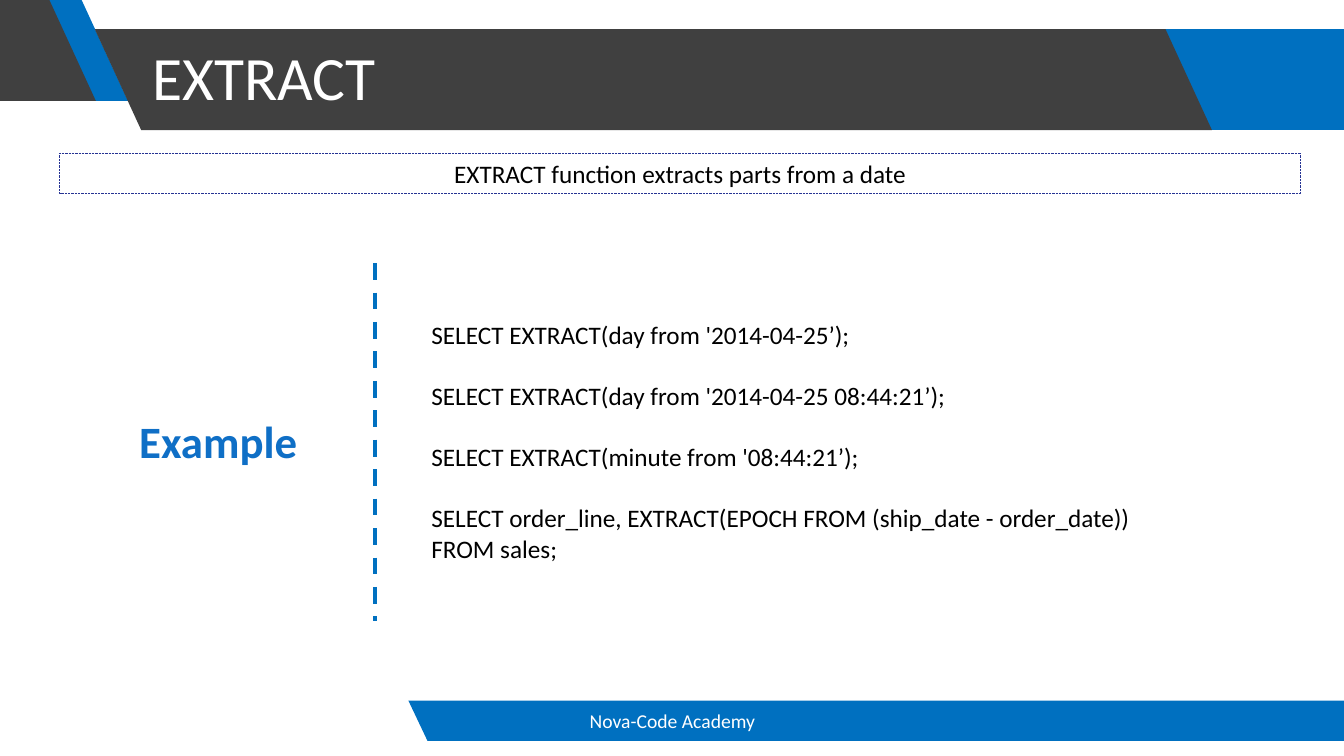
"""Build the EXTRACT function slide with its banner, definition and example queries."""
from dataclasses import dataclass

from lxml import etree
from pptx import Presentation
from pptx.dml.color import RGBColor
from pptx.enum.dml import MSO_LINE
from pptx.enum.shapes import MSO_CONNECTOR, MSO_SHAPE
from pptx.enum.text import MSO_ANCHOR, PP_ALIGN
from pptx.oxml.ns import qn
from pptx.util import Inches, Pt

LEFT, CENTER = PP_ALIGN.LEFT, PP_ALIGN.CENTER
TOP, MIDDLE = MSO_ANCHOR.TOP, MSO_ANCHOR.MIDDLE
RECTANGLE = MSO_SHAPE.RECTANGLE
STRAIGHT = MSO_CONNECTOR.STRAIGHT
DASH, DOTS = MSO_LINE.DASH, MSO_LINE.ROUND_DOT


@dataclass(frozen=True)
class Theme:
    font: str = "Calibri"
    blue: RGBColor = RGBColor(0x00, 0x70, 0xC0)
    dark: RGBColor = RGBColor(0x40, 0x40, 0x40)
    white: RGBColor = RGBColor(0xFF, 0xFF, 0xFF)
    black: RGBColor = RGBColor(0x00, 0x00, 0x00)
    navy: RGBColor = RGBColor(0x26, 0x33, 0x93)
    accent: RGBColor = RGBColor(0x0F, 0x6F, 0xC6)
    title: Pt = Pt(44)
    heading: Pt = Pt(32)
    body: Pt = Pt(18)
    footer: Pt = Pt(14)
    query_gap: Pt = Pt(22)


theme = Theme()
presentation = Presentation()
presentation.slide_width = Inches(13.33)
presentation.slide_height = Inches(7.5)
slide = presentation.slides.add_slide(presentation.slide_layouts[6])


def add_band(points, color):
    """Draw a filled polygon through points given in inches."""
    corners = [(Inches(x), Inches(y)) for x, y in points]
    builder = slide.shapes.build_freeform(*corners[0])
    builder.add_line_segments(corners[1:])
    shape = builder.convert_to_shape()
    shape.shadow.inherit = False
    shape.fill.solid()
    shape.fill.fore_color.rgb = color
    shape.line.fill.background()


def add_text(box, lines, size, color, alignment=LEFT, anchor=TOP, bold=False):
    """Write lines as paragraphs in one style and return the paragraphs."""
    frame = box.text_frame
    frame.word_wrap = True
    frame.vertical_anchor = anchor
    frame.text = "\n".join(lines)
    for paragraph in frame.paragraphs:
        paragraph.alignment = alignment
        paragraph.font.name = theme.font
        paragraph.font.size = size
        paragraph.font.bold = bold
        paragraph.font.color.rgb = color
    return frame.paragraphs


bands = [
    ([(10.68, 0.29), (13.33, 0.29), (13.33, 1.29), (10.68, 1.29)], theme.blue),
    ([(0.34, 0), (0.81, 0), (1.27, 1), (0.81, 1)], theme.blue),
    ([(0, 0), (0.49, 0), (0.95, 1), (0, 1)], theme.dark),
    ([(0.94, 0.29), (11.56, 0.29), (12.02, 1.29), (1.4, 1.29)], theme.dark),
    ([(4.05, 6.95), (13.33, 6.95), (13.33, 7.35), (4.24, 7.35)], theme.blue),
]
for points, color in bands:
    add_band(points, color)

title = slide.shapes.add_textbox(Inches(1.41), Inches(0.07), Inches(10.14), Inches(1.45))
title_paragraph = add_text(title, ["EXTRACT"], theme.title, theme.white, anchor=MIDDLE)[0]
title_paragraph.line_spacing = 0.9

footer = slide.shapes.add_textbox(Inches(4.42), Inches(6.95), Inches(4.5), Inches(0.4))
add_text(footer, ["Nova-Code Academy"], theme.footer, theme.white, CENTER, MIDDLE)

definition = slide.shapes.add_shape(
    RECTANGLE, Inches(0.59), Inches(1.52), Inches(12.31), Inches(0.4))
definition.shadow.inherit = False
definition.fill.background()
definition.line.color.rgb = theme.navy
definition.line.width = Pt(0.5)
definition.line.dash_style = DOTS
add_text(definition, ["EXTRACT function extracts parts from a date"],
         theme.body, theme.black, CENTER)

divider = slide.shapes.add_connector(
    STRAIGHT, Inches(3.72), Inches(2.61), Inches(3.72), Inches(6.16))
divider.line.color.rgb = theme.blue
divider.line.width = Pt(3)
divider.line.dash_style = DASH
etree.SubElement(divider._element.spPr, qn("a:effectLst"))

queries = [
    "SELECT EXTRACT(day from '2014-04-25’);",
    "SELECT EXTRACT(day from '2014-04-25 08:44:21’);",
    "SELECT EXTRACT(minute from '08:44:21’);",
    "SELECT order_line, EXTRACT(EPOCH FROM (ship_date - order_date))",
    "FROM sales;",
]
examples = slide.shapes.add_textbox(Inches(4.18), Inches(3.12), Inches(8.26), Inches(2.52))
query_paragraphs = add_text(examples, queries, theme.body, theme.black)
for paragraph in query_paragraphs[1:-1]:
    paragraph.space_before = theme.query_gap

heading = slide.shapes.add_textbox(Inches(0.46), Inches(4.06), Inches(3.41), Inches(0.64))
add_text(heading, ["Example"], theme.heading, theme.accent, CENTER, bold=True)

presentation.save("out.pptx")
